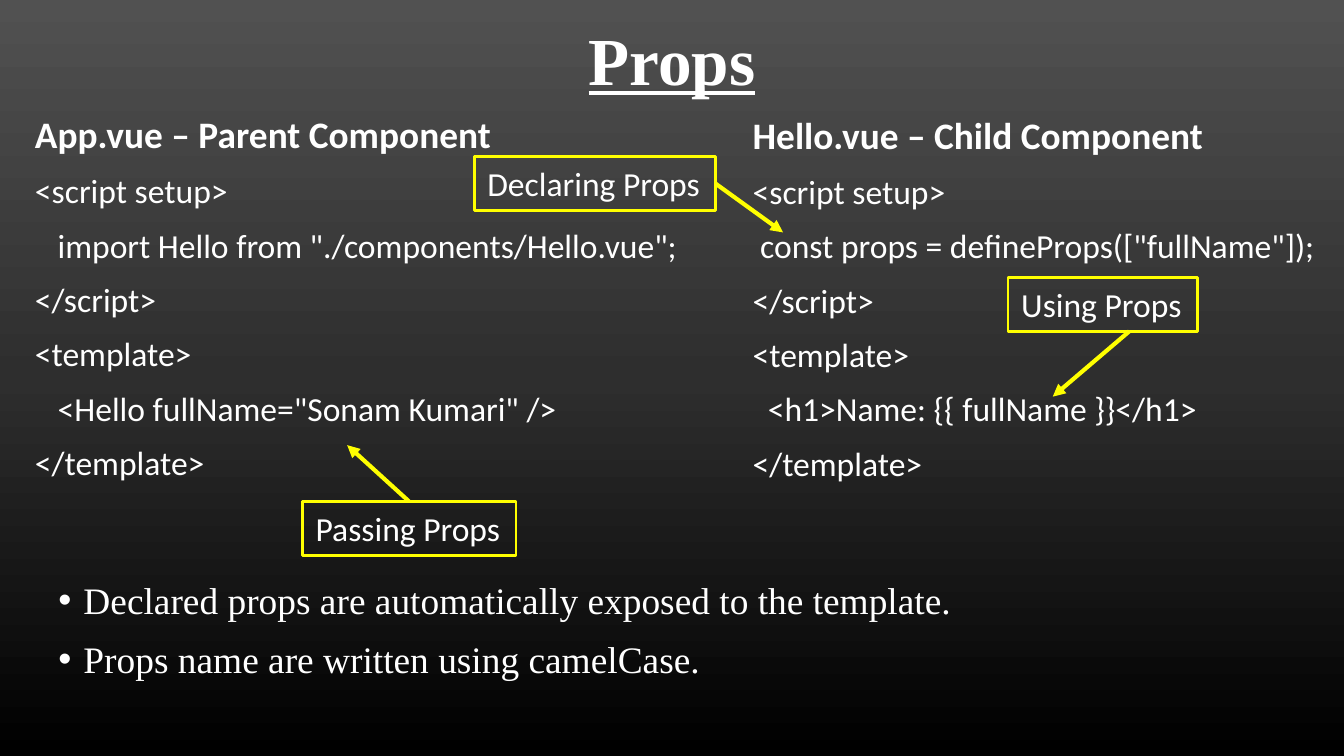
from copy import deepcopy

from lxml.etree import SubElement
from pptx import Presentation
from pptx.dml.color import RGBColor
from pptx.enum.shapes import MSO_CONNECTOR, MSO_SHAPE
from pptx.enum.text import MSO_ANCHOR, MSO_AUTO_SIZE, PP_ALIGN
from pptx.oxml.ns import qn
from pptx.util import Pt

WHITE, YELLOW = "FFFFFF", "FFFF00"
BACKDROP = [(0, "515151"), (0.5, "2E2E2E"), (1, "000000")]
HEADING = {"name": "Calibri", "size": Pt(20), "bold": True}
CODE = {"name": "Calibri", "size": Pt(18), "bold": False}
NOTE = {"name": "Times New Roman", "size": Pt(20), "bold": False}
TITLE = {"name": "Times New Roman", "size": Pt(36), "bold": True, "underline": True}

PARENT = [
    "App.vue – Parent Component",
    "<script setup>",
    '   import Hello from "./components/Hello.vue";',
    "</script>",
    "<template>",
    '   <Hello fullName="Sonam Kumari" />',
    "</template>",
]
CHILD = [
    "Hello.vue – Child Component",
    "<script setup>",
    ' const props = defineProps(["fullName"]);',
    "</script>",
    "<template>",
    "  <h1>Name: {{ fullName }}</h1>",
    "</template>",
]
NOTES = [
    "Declared props are automatically exposed to the template.",
    "Props name are written using camelCase.",
]
CALLOUTS = [
    ("Declaring Props", (254, 84, 129.5, 29), (383.5, 98.5), (419.5, 124.5)),
    ("Passing Props", (162, 268.5, 114.5, 29), (219, 268.5), (186, 238.5)),
    ("Using Props", (540, 148.5, 101.5, 29), (605, 177.5), (564, 212.5)),
]


def color(hex_code):
    """Turn a hex string into a colour."""
    return RGBColor.from_string(hex_code)


def set_format(target, values):
    """Set each attribute named in values on the target."""
    for name, value in values.items():
        setattr(target, name, value)


def write(paragraph, text, look):
    """Fill a paragraph with white text in the given look."""
    paragraph.text = text
    set_format(paragraph.font, look)
    paragraph.font.color.rgb = color(WHITE)


def place(holder, box, anchor):
    """Move a placeholder into the box and return its text frame."""
    set_format(holder, dict(zip(("left", "top", "width", "height"), map(Pt, box))))
    frame = holder.text_frame
    set_format(frame, {"word_wrap": True, "auto_size": MSO_AUTO_SIZE.NONE,
                       "vertical_anchor": anchor})
    return frame


def paint_background(slide):
    """Fill the background with a vertical three-stop gradient."""
    fill = slide.background.fill
    fill.gradient()
    fill.gradient_angle = 270
    stop_list = slide.element.find(".//" + qn("a:gsLst"))
    stop_list.append(deepcopy(stop_list[-1]))
    for stop, (position, shade) in zip(fill.gradient_stops, BACKDROP):
        stop.position = position
        stop.color.rgb = color(shade)


def add_title(holder, box, text):
    """Write the centred, underlined title."""
    heading = place(holder, box, MSO_ANCHOR.MIDDLE).paragraphs[0]
    heading.alignment = PP_ALIGN.CENTER
    write(heading, text, TITLE)


def add_lines(holder, box, lines, looks, hanging=0, bullet=None):
    """Write a list of lines, bulleted with a hanging indent if asked."""
    frame = place(holder, box, MSO_ANCHOR.TOP)
    for index, (line, look) in enumerate(zip(lines, looks)):
        paragraph = frame.paragraphs[0] if index == 0 else frame.add_paragraph()
        properties = paragraph._p.get_or_add_pPr()
        properties.set("marL", str(Pt(hanging)))
        properties.set("indent", str(-Pt(hanging)))
        if bullet:
            SubElement(properties, qn("a:buChar"), char=bullet)
        else:
            SubElement(properties, qn("a:buNone"))
        set_format(paragraph, {"space_before": Pt(7.5 if index else 0),
                               "alignment": PP_ALIGN.LEFT})
        write(paragraph, line, look)


def add_code(holder, box, lines):
    """Write a bold file heading with its code below."""
    add_lines(holder, box, lines, [HEADING] + [CODE] * (len(lines) - 1))


def add_callout(slide, box, label, start, end):
    """Draw a framed label and the arrow leading from it."""
    frame = slide.shapes.add_shape(MSO_SHAPE.RECTANGLE, *map(Pt, box))
    frame.shadow.inherit = False
    frame.fill.background()
    set_format(frame.line, {"width": Pt(1.5)})
    frame.line.color.rgb = color(YELLOW)
    set_format(frame.text_frame, {"word_wrap": False,
                                  "vertical_anchor": MSO_ANCHOR.TOP,
                                  "auto_size": MSO_AUTO_SIZE.SHAPE_TO_FIT_TEXT})
    caption = frame.text_frame.paragraphs[0]
    caption.alignment = PP_ALIGN.LEFT
    write(caption, label, CODE)

    arrow = slide.shapes.add_connector(MSO_CONNECTOR.STRAIGHT, *map(Pt, start + end))
    arrow.line.width = Pt(2.25)
    arrow.line.color.rgb = color(YELLOW)
    SubElement(arrow.line._get_or_add_ln(), qn("a:tailEnd"), type="triangle")
    SubElement(arrow._element.spPr, qn("a:effectLst"))


def build_props_slide(deck):
    """Build the slide that explains props."""
    slide = deck.slides.add_slide(deck.slide_layouts[4])
    holders = {item.placeholder_format.idx: item for item in slide.placeholders}
    paint_background(slide)
    add_code(holders[2], (11.5, 56, 372, 224), PARENT)
    add_title(holders[0], (36, 4.5, 648, 54), "Props")
    add_code(holders[4], (396, 56.5, 324, 224), CHILD)
    for label, box, start, end in CALLOUTS:
        add_callout(slide, box, label, start, end)
    add_lines(holders[1], (24, 305.5, 684, 83), NOTES, [NOTE] * len(NOTES), 13.5, "•")
    unused = holders[3].element
    unused.getparent().remove(unused)


def main():
    """Create the deck and save it."""
    deck = Presentation()
    set_format(deck, {"slide_width": Pt(720), "slide_height": Pt(405)})
    build_props_slide(deck)
    deck.save("out.pptx")


if __name__ == "__main__":
    main()
